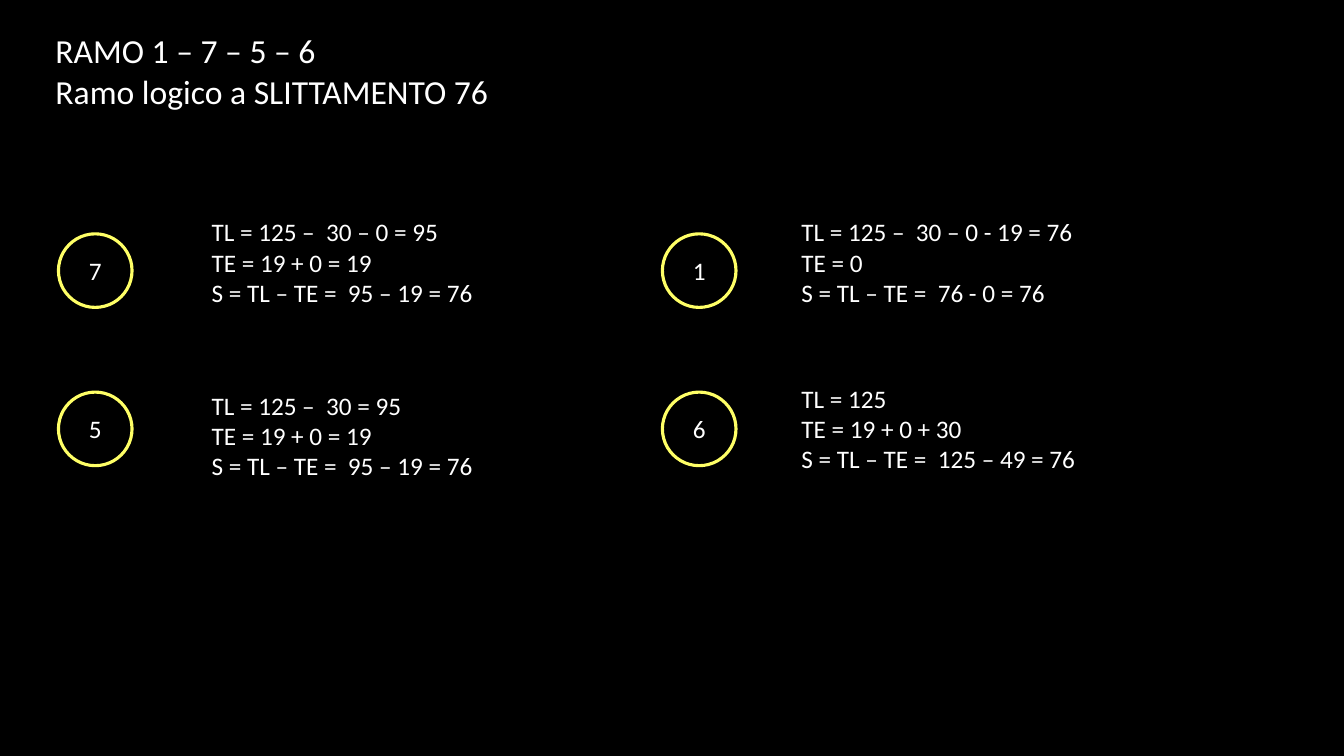
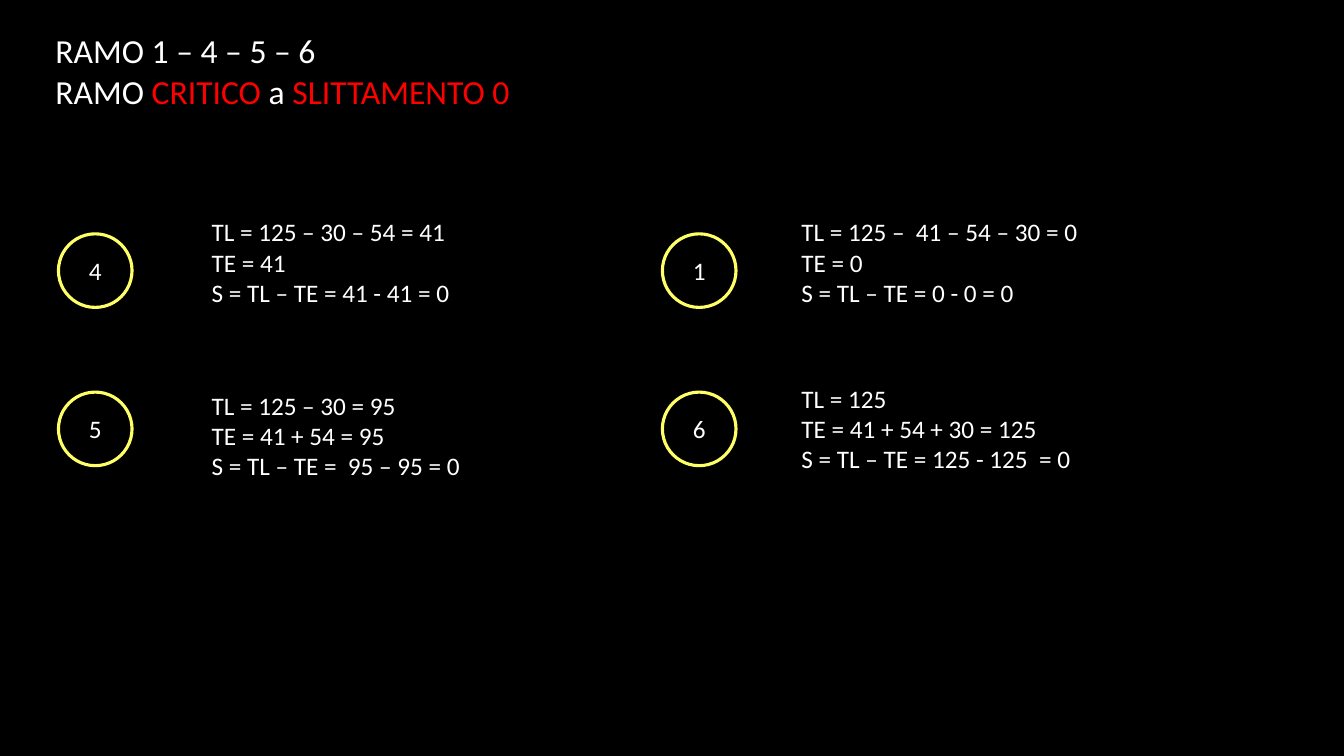
from pptx import Presentation
from pptx.dml.color import RGBColor
from pptx.enum.shapes import MSO_SHAPE
from pptx.enum.text import MSO_ANCHOR, MSO_AUTO_SIZE, PP_ALIGN
from pptx.util import Inches, Pt

BLACK, WHITE, YELLOW, RED = "000000", "FFFFFF", "FFFF66", "FF0000"


def color(hex_str):
    return RGBColor.from_string(hex_str)


def add_text(p, text, size, hex_str=WHITE):
    r = p.add_run()
    r.text = text
    for name, value in {"name": "Calibri", "size": Pt(size)}.items():
        setattr(r.font, name, value)
    r.font.color.rgb = color(hex_str)


prs = Presentation()
prs.slide_width, prs.slide_height = Inches(13.33), Inches(7.5)

# Shared background and title frame
bg = prs.slide_master.background.fill
bg.solid()
bg.fore_color.rgb = color(BLACK)
layout = prs.slide_layouts[5]
title = layout.placeholders[0]
frame = {"left": 0.45, "top": 0.25, "width": 12.4, "height": 0.91}
for name, value in frame.items():
    setattr(title, name, Inches(value))

# Grid: node circles and their formulas, two columns by two rows
NODE_X, FORMULA_X = (0.58, 6.57), (2, 7.85)
NODE_Y = (2.32, 3.89)
FORMULA_Y = ((2.1, 2.1), (3.82, 3.75))
NODE_SIZE, FORMULA_W, FORMULA_H = 0.73, 3.03, 1.01

# Each slide: title lines as coloured runs, then nodes row by row
slides = [
    ([[("RAMO 1 – 7 – 5 – 6", WHITE)],
      [("Ramo logico a SLITTAMENTO 76", WHITE)]],
     [("7", ["TL = 125 –  30 – 0 = 95", "TE = 19 + 0 = 19",
             "S = TL – TE =  95 – 19 = 76"]),
      ("1", ["TL = 125 –  30 – 0 - 19 = 76", "TE = 0",
             "S = TL – TE =  76 - 0 = 76"]),
      ("5", ["TL = 125 –  30 = 95", "TE = 19 + 0 = 19",
             "S = TL – TE =  95 – 19 = 76"]),
      ("6", ["TL = 125", "TE = 19 + 0 + 30",
             "S = TL – TE =  125 – 49 = 76"])]),
    ([[("RAMO 1 – 4 – 5 – 6", WHITE)],
      [("RAMO ", WHITE), ("CRITICO", RED), (" a ", WHITE),
       ("SLITTAMENTO 0", RED)]],
     [("4", ["TL = 125 – 30 – 54 = 41", "TE = 41",
             "S = TL – TE = 41 - 41 = 0"]),
      ("1", ["TL = 125 –  41 – 54 – 30 = 0", "TE = 0",
             "S = TL – TE = 0 - 0 = 0"]),
      ("5", ["TL = 125 – 30 = 95", "TE = 41 + 54 = 95",
             "S = TL – TE =  95 – 95 = 0"]),
      ("6", ["TL = 125", "TE = 41 + 54 + 30 = 125",
             "S = TL – TE = 125 - 125  = 0"])]),
]

for title_lines, nodes in slides:
    s = prs.slides.add_slide(layout)

    # Title
    tf = s.shapes.title.text_frame
    tf.auto_size = MSO_AUTO_SIZE.NONE
    tf.vertical_anchor = MSO_ANCHOR.TOP
    for i, runs in enumerate(title_lines):
        p = tf.add_paragraph() if i else tf.paragraphs[0]
        p.alignment = PP_ALIGN.LEFT
        for text, hex_str in runs:
            add_text(p, text, 24, hex_str)

    for n, (number, formulas) in enumerate(nodes):
        row, col = divmod(n, 2)

        # Node circle
        sp = s.shapes.add_shape(
            MSO_SHAPE.OVAL, Inches(NODE_X[col]), Inches(NODE_Y[row]),
            Inches(NODE_SIZE), Inches(NODE_SIZE))
        sp.shadow.inherit = False
        sp.fill.background()
        sp.line.color.rgb = color(YELLOW)
        sp.line.width = Pt(2.25)
        tf = sp.text_frame
        tf.vertical_anchor = MSO_ANCHOR.MIDDLE
        p = tf.paragraphs[0]
        p.alignment = PP_ALIGN.CENTER
        add_text(p, number, 18)

        # Formulas beside the node
        tf = s.shapes.add_textbox(
            Inches(FORMULA_X[col]), Inches(FORMULA_Y[row][col]),
            Inches(FORMULA_W), Inches(FORMULA_H)).text_frame
        tf.word_wrap = True
        tf.auto_size = MSO_AUTO_SIZE.SHAPE_TO_FIT_TEXT
        for i, formula in enumerate(formulas):
            p = tf.add_paragraph() if i else tf.paragraphs[0]
            add_text(p, formula, 18)

prs.save("out.pptx")
